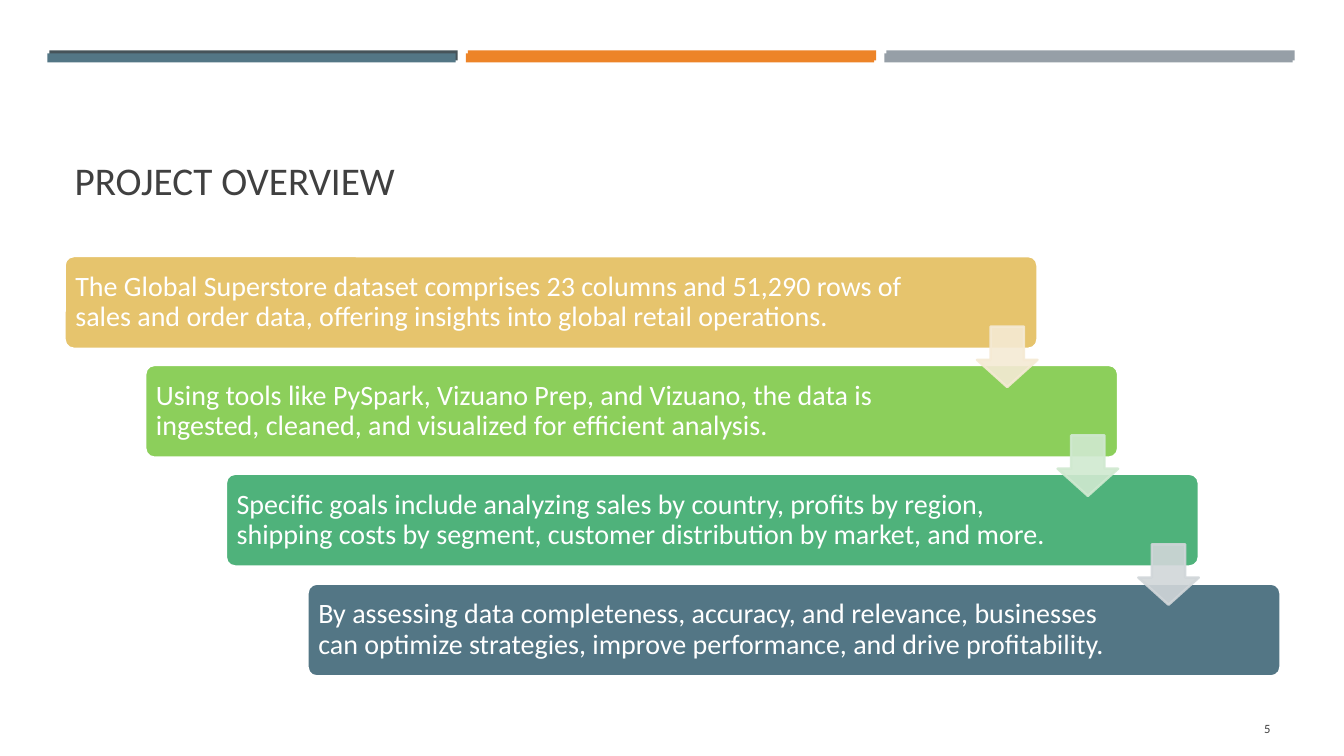
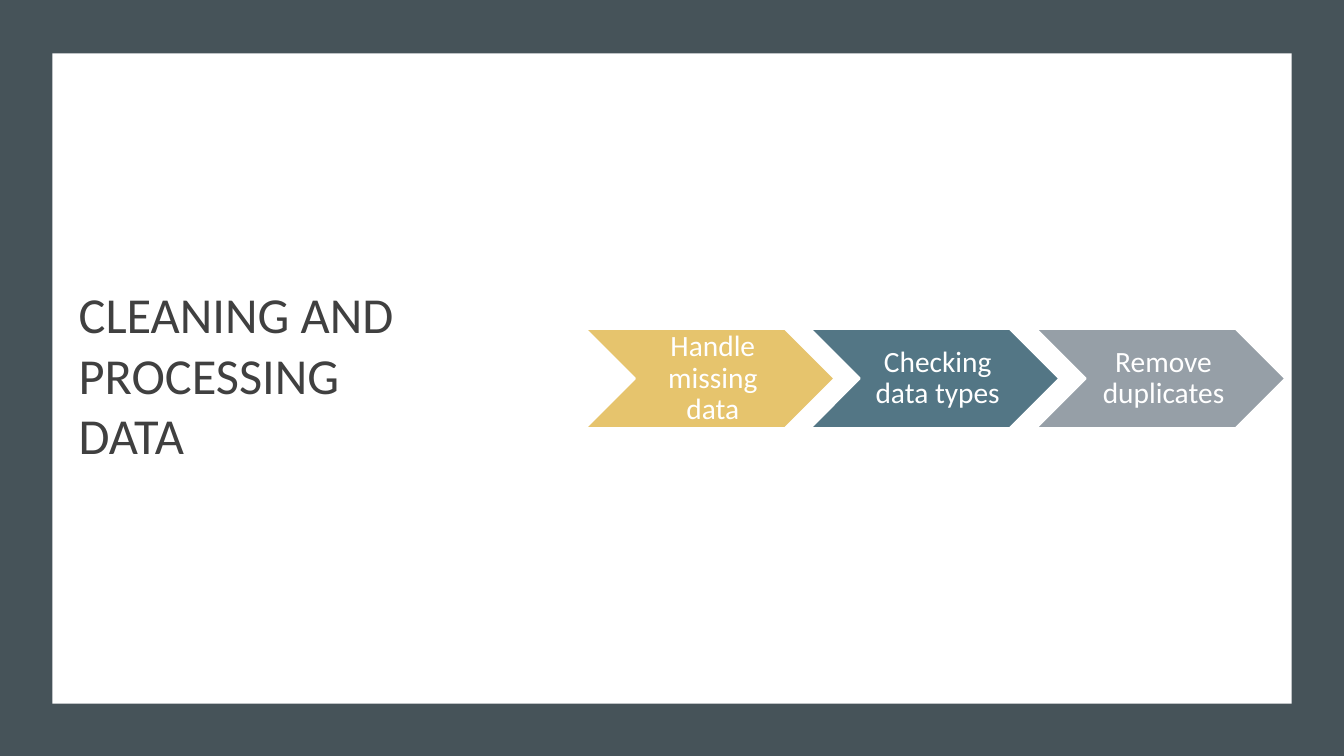
from lxml.etree import SubElement
from pptx import Presentation
from pptx.dml.color import RGBColor
from pptx.enum.shapes import MSO_SHAPE as Geo
from pptx.enum.text import MSO_ANCHOR as Anchor, MSO_AUTO_SIZE as Fit, PP_ALIGN as Align
from pptx.oxml.ns import qn
from pptx.util import Pt

SCALE = 9144  # EMU in one px, 100 px to the inch
HUES = {
    "white": "FFFFFF", "text": "404040", "dark": "465359",
    "blue": "537685", "orange": "ED8428", "gray": "969FA7",
    "gold": "E6C46D", "lime": "8CCF5B", "green": "4FB27B",
    "cream": "F5EAD4", "mint": "D0E9D0", "mist": "D1D6D9",
}


def px(*sizes):
    return [size * SCALE for size in sizes]


def hue(name):
    return RGBColor.from_string(HUES[name])


class Deck:
    """Holds the style and the current slide."""
    font = "Calibri"

    def __init__(self, wide, high):
        self.file = Presentation()
        self.file.slide_width, self.file.slide_height = px(wide, high)
        self.slide = None

    def add(self):
        self.slide = self.file.slides.add_slide(self.file.slide_layouts[5])

    def words(self, shape, text, size, color="white", align=Align.LEFT,
              anchor=Anchor.MIDDLE, pad=(10, 5, 10, 5), lead=1.0):
        frame = shape.text_frame
        frame.word_wrap = True
        frame.auto_size = Fit.NONE
        frame.vertical_anchor = anchor
        (frame.margin_left, frame.margin_top,
         frame.margin_right, frame.margin_bottom) = px(*pad)
        para = frame.paragraphs[0]
        para.alignment, para.line_spacing = align, lead
        run = para.add_run()
        run.text = text
        run.font.name, run.font.size = self.font, Pt(size)
        run.font.color.rgb = hue(color)

    def title(self, text, box, size):
        head = self.slide.shapes.title
        head.left, head.top, head.width, head.height = px(*box)
        self.slide.shapes._spTree.append(head._element)  # above the backdrop
        self.words(head, text, size, "text", anchor=Anchor.BOTTOM)

    def label(self, text, box, size, align):
        note = self.slide.shapes.add_textbox(*px(*box))
        self.words(note, text, size, "text", align)

    def shape(self, geo, box, fill, line=None, adjust=(), alpha=None):
        item = self.slide.shapes.add_shape(geo, *px(*box))
        item.shadow.inherit = False
        for i, value in enumerate(adjust):
            item.adjustments[i] = value
        item.fill.solid()
        item.fill.fore_color.rgb = hue(fill)
        if line:
            item.line.color.rgb = hue(line)
            item.line.width = Pt(1.75)
        else:
            item.line.fill.background()
        if alpha:
            for color in item._element.spPr.iter(qn("a:srgbClr")):
                SubElement(color, qn("a:alpha"), val=str(alpha * 1000))
        return item

    def bands(self):
        tops = ("dark", "orange", "gray")
        fronts = ("blue", "orange", "gray")
        for left, top, high, fills in ((49, 50, 10, tops), (47, 53, 9, fronts)):
            for i, fill in enumerate(fills):
                self.shape(Geo.RECTANGLE, (left + i * 415, top, 405, high), fill)

    def step(self, text, box, fill, right):
        bar = self.shape(Geo.ROUNDED_RECTANGLE, box, fill, "white", (0.1,))
        self.words(bar, text, 20, pad=(8, 8, right, 8), lead=0.9)

    def arrow(self, left, top, fill):
        self.shape(Geo.DOWN_ARROW, (left, top, 60, 60), fill, fill, (0.55, 0.45), 90)

    def stage(self, text, box, fill):
        item = self.shape(Geo.CHEVRON, box, fill, "white")
        self.words(item, text, 21, align=Align.CENTER, pad=(9, 3, 3, 3), lead=0.9)


# Text, fill and right margin of each step
STEPS = (
    ("The Global Superstore dataset comprises 23 columns and 51,290 rows of "
     "sales and order data, offering insights into global retail operations.",
     "gold", 110),
    ("Using tools like PySpark, Vizuano Prep, and Vizuano, the data is "
     "ingested, cleaned, and visualized for efficient analysis.",
     "lime", 148),
    ("Specific goals include analyzing sales by country, profits by region, "
     "shipping costs by segment, customer distribution by market, and more.",
     "green", 148),
    ("By assessing data completeness, accuracy, and relevance, businesses "
     "can optimize strategies, improve performance, and drive profitability.",
     "blue", 148),
)
STAGES = (
    ("Handle missing data", "gold"),
    ("Checking data types", "blue"),
    ("Remove duplicates", "gray"),
)


def overview(deck):
    deck.add()
    deck.bands()
    deck.title("PROJECT OVERVIEW", (64, 77, 1206, 130), 28)
    deck.label("5", (1155, 703, 115, 40), 9, Align.RIGHT)
    # Staircase of steps
    wide, high = 965, 92
    spots = [(64 + i * 241 // 3, 254 + i * 325 // 3) for i in range(len(STEPS))]
    for (left, top), (text, fill, right) in zip(spots, STEPS):
        deck.step(text, (left, top, wide, high), fill, right)
    # Arrows at the right end of each step but the last
    for (left, top), fill in zip(spots, ("cream", "mint", "mist")):
        deck.arrow(left + wide - 60, top + 70, fill)


def cleaning(deck):
    deck.add()
    # Dark frame around a white panel
    deck.shape(Geo.RECTANGLE, (0, 0, 1333, 750), "dark")
    deck.shape(Geo.RECTANGLE, (52, 53, 1229, 645), "white")
    deck.title("CLEANING AND PROCESSING DATA", (68, 153, 390, 313), 36)
    # Row of chevrons
    for i, (text, fill) in enumerate(STAGES):
        deck.stage(text, (580 + i * 447 // 2, 326, 248, 99), fill)


def main():
    deck = Deck(1333, 750)
    overview(deck)
    cleaning(deck)
    deck.file.save("out.pptx")


if __name__ == "__main__":
    main()
